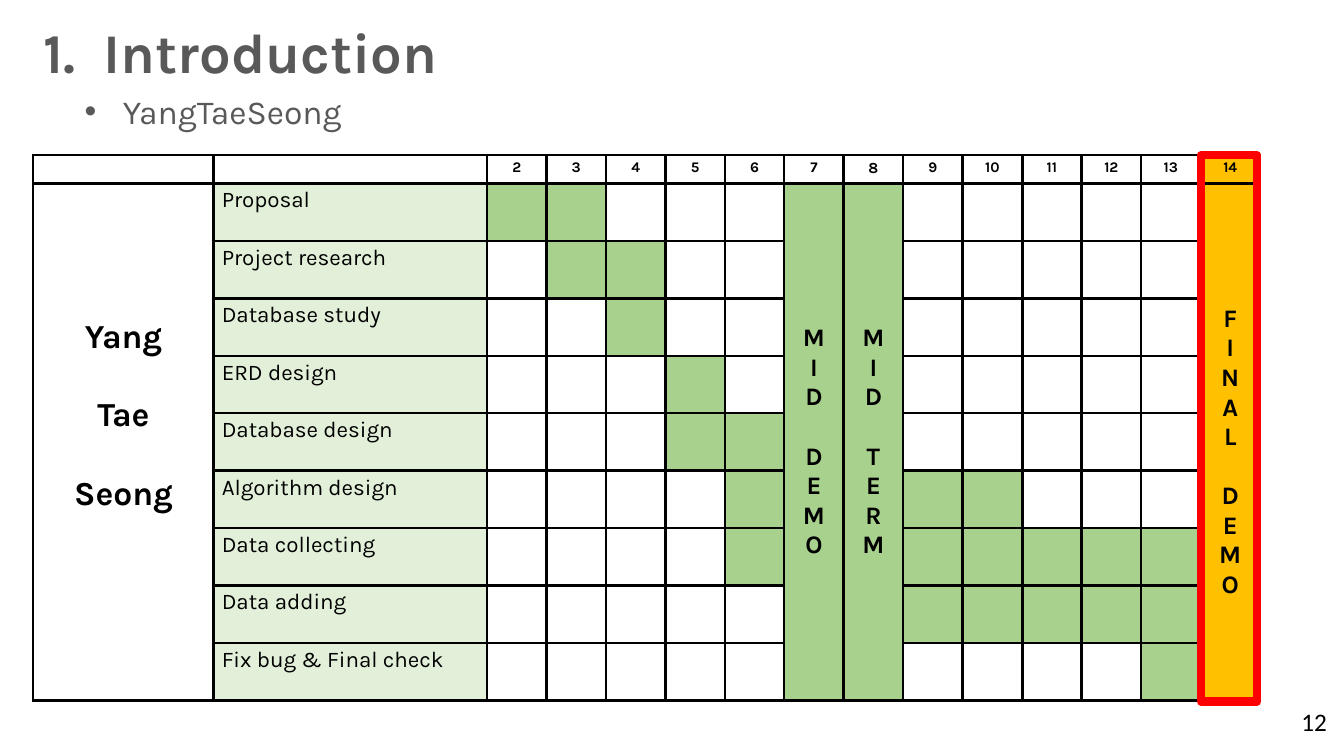
from lxml import etree
from pptx import Presentation
from pptx.dml.color import RGBColor
from pptx.enum.shapes import MSO_SHAPE
from pptx.enum.text import MSO_ANCHOR, PP_ALIGN
from pptx.oxml.ns import qn
from pptx.util import Inches, Pt

RECT = MSO_SHAPE.RECTANGLE
TOP, MIDDLE = MSO_ANCHOR.TOP, MSO_ANCHOR.MIDDLE
LEFT, CENTER = PP_ALIGN.LEFT, PP_ALIGN.CENTER

BLACK = RGBColor(0x00, 0x00, 0x00)
WHITE = RGBColor(0xFF, 0xFF, 0xFF)
GRAY = RGBColor(0x59, 0x59, 0x59)
GREEN = RGBColor(0xA9, 0xD1, 0x8E)
PALE_GREEN = RGBColor(0xE2, 0xF0, 0xD9)
AMBER = RGBColor(0xFF, 0xC0, 0x00)
RED = RGBColor(0xFF, 0x00, 0x00)

WEEKS = range(2, 15)
TASKS = [
    ("Proposal", {2, 3}),
    ("Project research", {3, 4}),
    ("Database study", {4}),
    ("ERD design", {5}),
    ("Database design", {5, 6}),
    ("Algorithm design", {6, 9, 10}),
    ("Data collecting", {6, 9, 10, 11, 12, 13}),
    ("Data adding", {9, 10, 11, 12, 13}),
    ("Fix bug & Final check", {13}),
]
MILESTONES = {7: "MID DEMO", 8: "MID TERM", 14: "FINAL DEMO"}
COLUMN_FILLS = {1: PALE_GREEN, 7: GREEN, 8: GREEN, 14: AMBER}
THICK_AFTER = {4, 10}
THIN, THICK = Pt(1.98), Pt(2.55)
NAME_W, TASK_W, WEEK_W = 1.79, 2.71, 0.59
HEADER_H, TASK_H = 0.28, 0.57


def write(p, text, **formats):
    r = p.add_run()
    r.text = text
    style = {"name": "Karla", "size": Pt(16), "bold": False, **formats}
    color = style.pop("color", BLACK)
    for key, value in style.items():
        setattr(r.font, key, value)
    r.font.color.rgb = color


def add_text(s, box, text, wrap=True, **formats):
    tf = s.shapes.add_textbox(*map(Inches, box)).text_frame
    tf.word_wrap = wrap
    write(tf.paragraphs[0], text, **formats)
    return tf.paragraphs[0]


def add_subtitle(s, box):
    p = add_text(s, box, "YangTaeSeong", size=Pt(24), color=GRAY)
    pPr = p._p.get_or_add_pPr()
    pPr.set("marL", str(Inches(0.38)))
    pPr.set("indent", str(Inches(-0.38)))
    etree.SubElement(pPr, qn("a:buFont"), typeface="Arial")
    etree.SubElement(pPr, qn("a:buChar"), char="•")


def style_cell(cell, col, color):
    tcPr = cell._tc.get_or_add_tcPr()
    widths = {
        "L": THICK if col - 1 in THICK_AFTER else THIN,
        "R": THICK if col in THICK_AFTER else THIN,
        "T": THIN,
        "B": THIN,
    }
    for side, width in widths.items():
        ln = etree.SubElement(tcPr, qn(f"a:ln{side}"), w=str(width))
        fill = etree.SubElement(ln, qn("a:solidFill"))
        etree.SubElement(fill, qn("a:srgbClr"), val=str(BLACK))
    cell.fill.solid()
    cell.fill.fore_color.rgb = color
    etree.SubElement(cell.text_frame.paragraphs[0]._p, qn("a:endParaRPr"), sz="1050")


def fill_cell(cell, lines, align=CENTER, anchor=TOP, insets=(0.08, 0.04, 0.08, 0.04), gaps=(), **formats):
    sides = ("margin_left", "margin_top", "margin_right", "margin_bottom")
    for side, inset in zip(sides, insets):
        setattr(cell, side, Inches(inset))
    cell.vertical_anchor = anchor
    tf = cell.text_frame
    for i, line in enumerate(lines):
        p = tf.add_paragraph() if i else tf.paragraphs[0]
        p.alignment = align
        if i in gaps:
            p.space_before = Pt(formats["size"].pt * 1.17)
        write(p, line, **formats)


def add_schedule(s, left, top):
    widths = [NAME_W, TASK_W] + [WEEK_W] * len(WEEKS)
    heights = [HEADER_H] + [TASK_H] * len(TASKS)
    frame = s.shapes.add_table(len(heights), len(widths), Inches(left), Inches(top),
                               Inches(sum(widths)), Inches(sum(heights)))
    table = frame.table
    for column, width in zip(table.columns, widths):
        column.width = Inches(width)
    for row, height in zip(table.rows, heights):
        row.height = Inches(height)

    for row in range(len(heights)):
        for col in range(len(widths)):
            color = COLUMN_FILLS.get(col, WHITE) if row or col == 14 else WHITE
            if row and col in TASKS[row - 1][1]:
                color = GREEN
            style_cell(table.cell(row, col), col, color)

    for week in WEEKS:
        fill_cell(table.cell(0, week), [str(week)], size=Pt(11 if week == 8 else 10.5), bold=True)
    for row, (task, _) in enumerate(TASKS, 1):
        fill_cell(table.cell(row, 1), [task], align=LEFT)

    for col in (0, *MILESTONES):
        table.cell(1, col).merge(table.cell(len(TASKS), col))
    fill_cell(table.cell(1, 0), ["Yang", "Tae", "Seong"], anchor=MIDDLE,
              insets=(0.11, 0.06, 0.11, 0.58), gaps=(1, 2), size=Pt(24), bold=True)
    for week, label in MILESTONES.items():
        insets = (0.08, 0.24, 0.08, 0.04) if week == 14 else (0.11, 0.06, 0.11, 0.06)
        fill_cell(table.cell(1, week), label.replace(" ", ""), anchor=MIDDLE,
                  insets=insets, gaps=(label.index(" "),), size=Pt(18), bold=True)


def add_final_frame(s, box):
    frame = s.shapes.add_shape(RECT, *map(Inches, box))
    frame.shadow.inherit = False
    frame.fill.background()
    frame.line.color.rgb = RED
    frame.line.width = Pt(6)


def main():
    prs = Presentation()
    prs.slide_width, prs.slide_height = Inches(13.33), Inches(7.5)
    s = prs.slides.add_slide(prs.slide_layouts[6])
    add_subtitle(s, (0.74, 0.85, 12.6, 0.5))
    add_schedule(s, 0.33, 1.54)
    add_text(s, (12.81, 6.96, 0.46, 0.4), "12", wrap=False, name="Calibri", size=Pt(18))
    add_final_frame(s, (11.91, 1.54, 0.56, 5.42))
    add_text(s, (0.33, 0.12, 6.12, 0.77), "1.  Introduction", size=Pt(40), bold=True, color=GRAY)
    prs.save("out.pptx")


if __name__ == "__main__":
    main()
